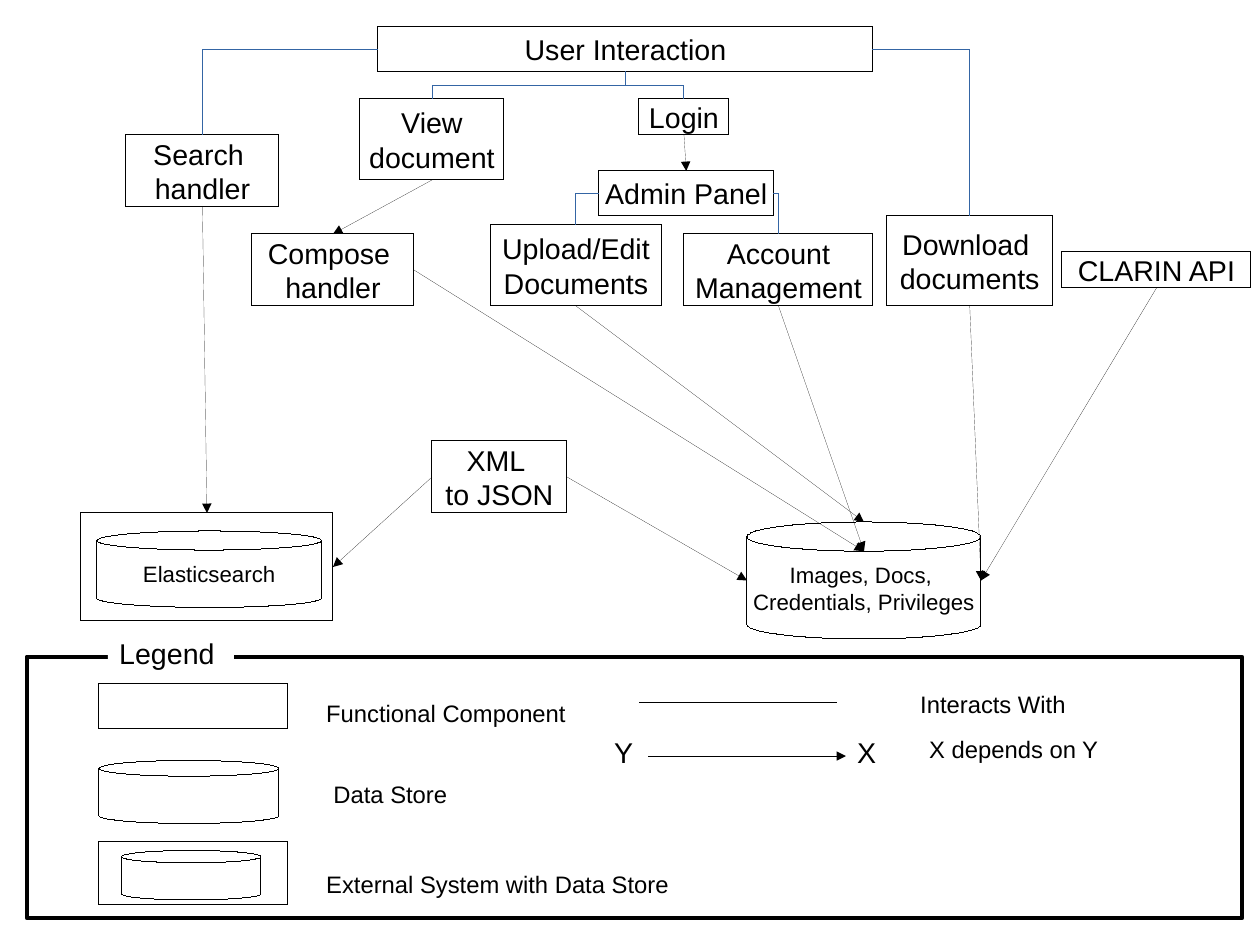
"""Build the component diagram of a document system with its legend."""
from dataclasses import dataclass

from lxml.etree import SubElement
from pptx import Presentation
from pptx.dml.color import RGBColor
from pptx.enum.shapes import MSO_CONNECTOR, MSO_SHAPE
from pptx.enum.text import MSO_ANCHOR, MSO_AUTO_SIZE, PP_ALIGN
from pptx.oxml.ns import qn
from pptx.util import Cm, Pt


@dataclass(frozen=True)
class Theme:
    ink: RGBColor = RGBColor(0x00, 0x00, 0x00)
    paper: RGBColor = RGBColor(0xFF, 0xFF, 0xFF)
    interaction: RGBColor = RGBColor(0x34, 0x65, 0xA4)
    font: str = "Arial"
    component: Pt = Pt(18)
    legend: Pt = Pt(15)
    store: Pt = Pt(14)
    hairline: Pt = Pt(0)
    frame: Pt = Pt(3)


theme = Theme()
centred = {"word_wrap": False, "vertical_anchor": MSO_ANCHOR.MIDDLE}
growing = {"word_wrap": True, "auto_size": MSO_AUTO_SIZE.SHAPE_TO_FIT_TEXT}


def stroke(part, color, width=theme.hairline, arrow=False):
    part.line.color.rgb = color
    properties = part._element.spPr
    outline = properties.find(qn("a:ln"))
    outline.set("w", str(int(width)))
    if arrow:
        SubElement(outline, qn("a:tailEnd"), type="triangle")
    if properties.find(qn("a:effectLst")) is None:
        SubElement(properties, qn("a:effectLst"))


def write(part, text, size, frame_format, align):
    frame = part.text_frame
    frame.text = text
    for name, value in frame_format.items():
        setattr(frame, name, value)
    for paragraph in frame.paragraphs:
        paragraph.alignment = align
        for name, value in {"name": theme.font, "size": size}.items():
            setattr(paragraph.font, name, value)
        paragraph.font.color.rgb = theme.ink


deck = Presentation()
deck.slide_width, deck.slide_height = Cm(28), Cm(21)
slide = deck.slides.add_slide(deck.slide_layouts[6])
shapes = slide.shapes

box, can = MSO_SHAPE.RECTANGLE, MSO_SHAPE.CAN
components = {
    "user": (box, (8.4, 0.6, 11, 1), "User Interaction"),
    "search": (box, (2.8, 3, 3.4, 1.6), "Search \nhandler"),
    "view": (box, (8, 2.2, 3.2, 1.8), "View\ndocument"),
    "login": (box, (14.2, 2.2, 2, 0.8), "Login"),
    "admin": (box, (13.3, 3.8, 3.9, 1), "Admin Panel"),
    "compose": (box, (5.6, 5.2, 3.6, 1.6), "Compose \nhandler"),
    "upload": (box, (10.9, 5, 3.8, 1.8), "Upload/Edit\nDocuments"),
    "account": (box, (15.2, 5.2, 4.2, 1.6), "Account\nManagement"),
    "download": (box, (19.7, 4.8, 3.7, 2), "Download \ndocuments"),
    "clarin": (box, (23.6, 5.6, 4.2, 0.8), "CLARIN API"),
    "converter": (box, (9.6, 9.8, 3, 1.6), "XML \nto JSON"),
    "search system": (box, (1.8, 11.4, 5.6, 2.4), ""),
    "search store": (can, (2.15, 11.8, 5, 1.7), "Elasticsearch"),
    "document store": (can, (16.6, 11.6, 5.2, 2.6), "Images, Docs, \nCredentials, Privileges"),
    "legend frame": (box, (0.6, 14.6, 27, 5.8), ""),
    "legend component": (box, (2.2, 15.2, 4.2, 1), ""),
    "legend store": (can, (2.2, 16.9, 4, 1.4), ""),
    "legend system": (box, (2.2, 18.7, 4.2, 1.4), ""),
    "legend system store": (can, (2.7, 18.9, 3.1, 1.1), ""),
}
parts = {}
for key, (kind, place, text) in components.items():
    part = parts[key] = shapes.add_shape(kind, *map(Cm, place))
    part.shadow.inherit = False
    if kind == can:
        part.fill.solid()
        part.fill.fore_color.rgb = theme.paper
    else:
        part.fill.background()
    stroke(part, theme.ink, theme.frame if key == "legend frame" else theme.hairline)
    if text:
        size = theme.store if kind == can else theme.component
        write(part, text, size, centred, PP_ALIGN.CENTER)

legend_texts = [
    ("Legend", (2.4, 14, 2.8, 0.97), theme.component),
    ("Functional Component", (7, 15.4, 6.6, 1), theme.legend),
    ("Data Store", (7.16, 17.2, 3.4, 1), theme.legend),
    ("External System with Data Store", (7, 19.2, 8.4, 0.84), theme.legend),
    ("Interacts With", (20.2, 15.2, 6.6, 1), theme.legend),
    ("X depends on Y", (20.4, 16.2, 4.4, 1), theme.legend),
    ("Y", (13.4, 16.2, 0.92, 1), theme.component),
    ("X", (18.8, 16.2, 0.92, 1), theme.component),
]
for text, place, size in legend_texts:
    caption = shapes.add_textbox(*map(Cm, place))
    write(caption, text, size, growing, PP_ALIGN.LEFT)
    if text == "Legend":
        caption.fill.solid()
        caption.fill.fore_color.rgb = theme.paper

top, left, bottom, right = range(4)
interactions = [
    ("user", left, "search"),
    ("user", right, "download"),
    ("user", bottom, "view"),
    ("user", bottom, "login"),
    ("admin", left, "upload"),
    ("admin", right, "account"),
]
for parent, side, child in interactions:
    link = shapes.add_connector(MSO_CONNECTOR.ELBOW, 0, 0, 0, 0)
    link.begin_connect(parts[parent], side)
    link.end_connect(parts[child], top)
    stroke(link, theme.interaction)
    if side == bottom:
        start, run, drop = link.begin_x, link.end_x - link.begin_x, link.height
        middle_x, middle_y = start + run // 2, link.top + drop // 2
        link.width, link.height = drop, abs(run)
        link.left, link.top = middle_x - drop // 2, middle_y - abs(run) // 2
        turn = link._element.spPr.find(qn("a:xfrm"))
        for name, value in {"rot": "5400000", "flipH": "0", "flipV": str(int(run > 0))}.items():
            turn.set(name, value)
    else:
        link._element.spPr.find(qn("a:prstGeom")).set("prst", "bentConnector2")

store_top, store_rim = (19.2, 11.6), (19.2, 12.25)
store_left, store_right = (16.6, 12.9), (21.8, 12.9)
dependencies = [
    ("search", bottom, "search system", top),
    ("converter", left, "search system", right),
    ("view", bottom, "compose", top),
    ("login", bottom, "admin", top),
    ("converter", right, store_left, None),
    ("clarin", bottom, store_right, None),
    ("compose", right, store_rim, None),
    ("upload", bottom, store_top, None),
    ("download", bottom, store_right, None),
    ("account", bottom, store_rim, None),
]
for source, source_side, target, target_side in dependencies:
    end = (0, 0) if target_side is not None else target
    arrow = shapes.add_connector(MSO_CONNECTOR.STRAIGHT, 0, 0, *map(Cm, end))
    arrow.begin_connect(parts[source], source_side)
    if target_side is not None:
        arrow.end_connect(parts[target], target_side)
    stroke(arrow, theme.ink, arrow=True)

for start_x, y, has_head in [(14.2, 15.6, False), (14.4, 16.8, True)]:
    sample = shapes.add_connector(
        MSO_CONNECTOR.STRAIGHT, Cm(start_x), Cm(y), Cm(start_x + 4.4), Cm(y))
    stroke(sample, theme.ink, arrow=has_head)

deck.save("out.pptx")
